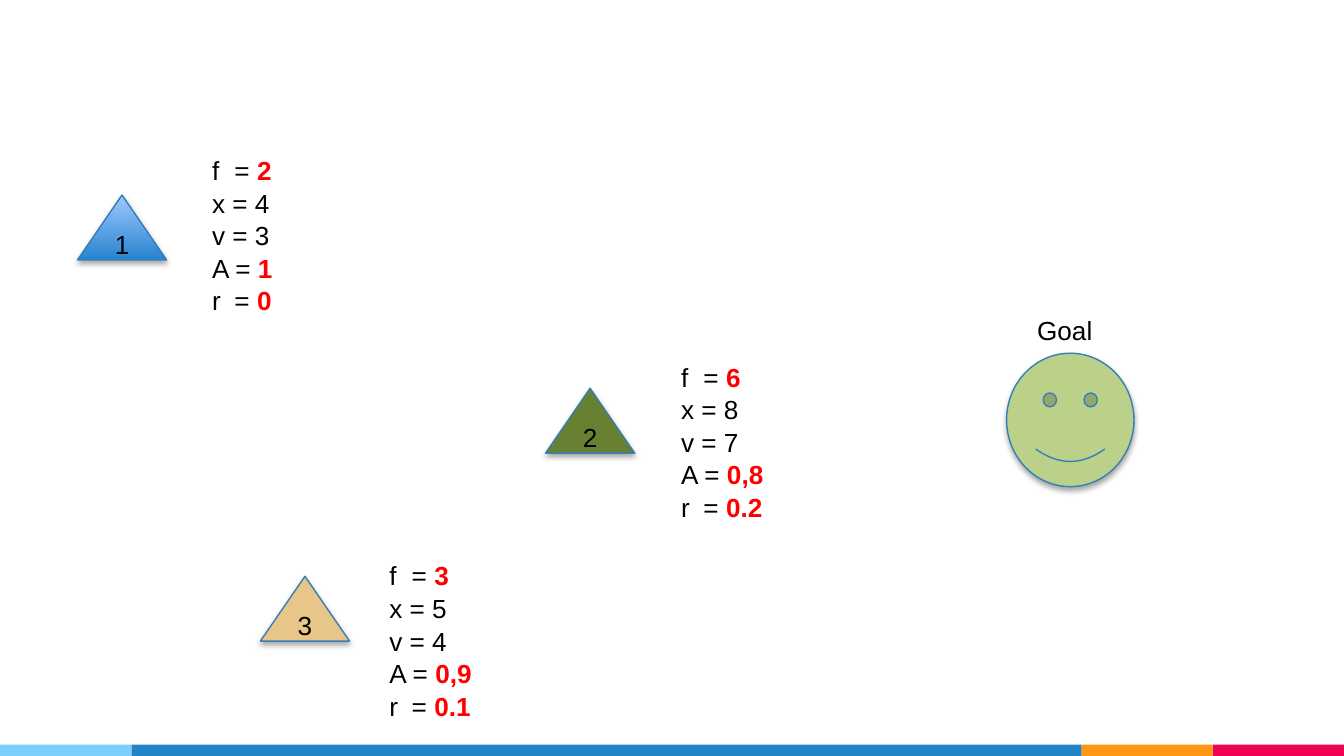
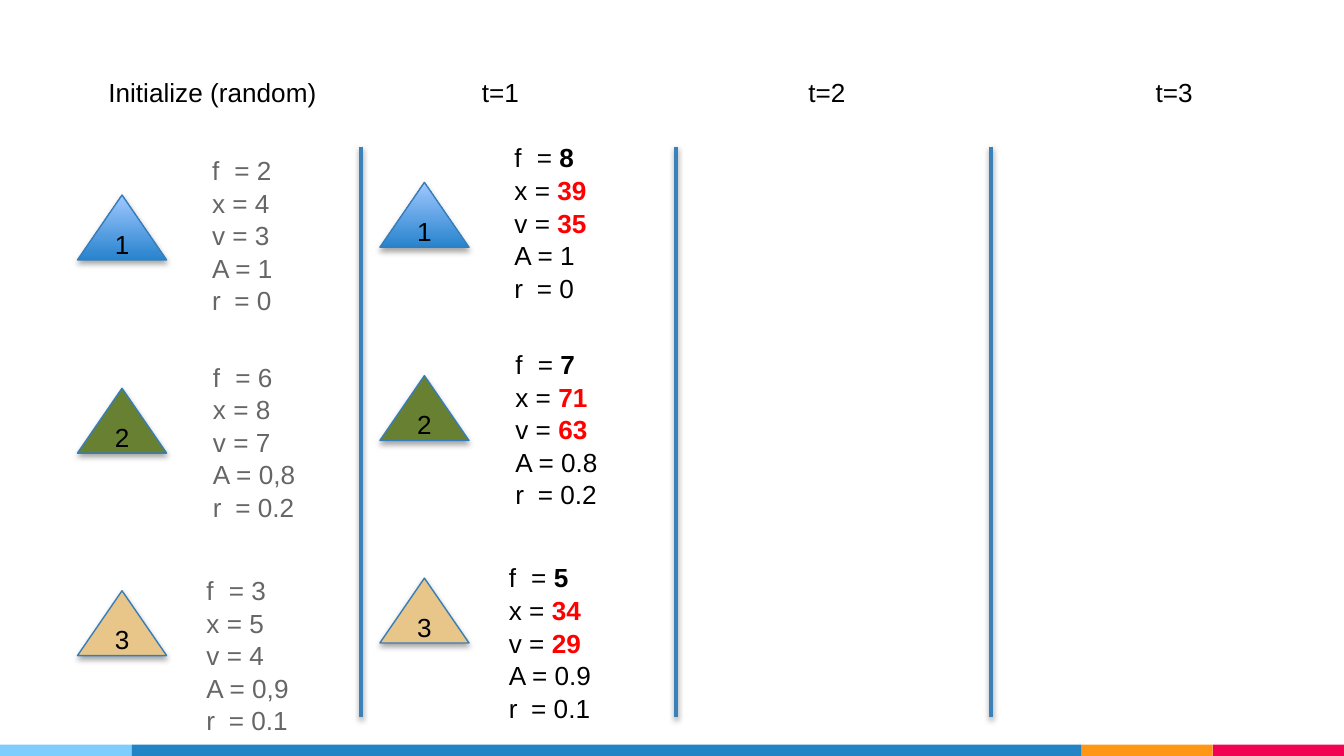
from lxml import etree
from pptx import Presentation
from pptx.dml.color import RGBColor
from pptx.enum import shapes, text
from pptx.oxml import ns
from pptx.util import Pt

COLORS = {
    "ink": "000000", "grey": "666666", "hot": "FF0000",
    "outline": "367EB9", "divider": "3A81BA", "goal": "BBD189",
    "sky": "7ECEFD", "blue": "2185C5", "orange": "FF9715", "pink": "F20253",
    "agent_dark": "2783CD", "agent_light": "A0C8FF",
    "olive": "688031", "sand": "E8C588",
}
# Footer bands: colour and width, left to right
BANDS = [("sky", 70.5), ("blue", 509), ("orange", 70.25), ("pink", 70.25)]
# Agents: fill colours, then offset and width of the variable list
AGENTS = {
    "1": (("agent_dark", "agent_light"), 65, -26, 65.5),
    "2": (("olive",), 65.5, -18.75, 65.5),
    "3": (("sand",), 62, -13, 68.5),
}
NAMES = "fxvAr"
TABBED = "fr"  # narrow letters, followed by a tab stop
START = {"1": "2 4 3 1 0", "2": "6 8 7 0,8 0.2", "3": "3 5 4 0,9 0.1"}
STEP_1 = {"1": "8 39 35 1 0", "2": "7 71 63 0.8 0.2", "3": "5 34 29 0.9 0.1"}


def rgb(name):
    return RGBColor.from_string(COLORS[name])


def write(p, content, size=14, color="ink", bold=False, font="Arial"):
    r = p.add_run()
    r.text = content
    r.font.size, r.font.name, r.font.bold = Pt(size), font, bold
    r.font.color.rgb = rgb(color)


class Deck:
    def __init__(self):
        self.prs = Presentation()
        self.prs.slide_width, self.prs.slide_height = Pt(720), Pt(405)

    def new_slide(self):
        self.s = self.prs.slides.add_slide(self.prs.slide_layouts[6])
        x = 0
        for color, w in BANDS:
            self.shape(shapes.MSO_SHAPE.RECTANGLE, x, 399, w, 6, [color])
            x += w

    def shadow(self, sp, alpha, dist):
        effects = etree.SubElement(sp._element.spPr, ns.qn("a:effectLst"))
        outer = etree.SubElement(effects, ns.qn("a:outerShdw"), blurRad=str(Pt(3.1)),
                                 dist=str(Pt(dist)), dir="5400000", rotWithShape="0")
        clr = etree.SubElement(outer, ns.qn("a:srgbClr"), val=COLORS["ink"])
        etree.SubElement(clr, ns.qn("a:alpha"), val=str(alpha * 1000))

    def shape(self, kind, x, y, w, h, fills, outlined=False):
        sp = self.s.shapes.add_shape(kind, Pt(x), Pt(y), Pt(w), Pt(h))
        if len(fills) > 1:
            sp.fill.gradient()
            sp.fill.gradient_angle = 90
            for stop, color in zip(sp.fill.gradient_stops, fills):
                stop.color.rgb = rgb(color)
        else:
            sp.fill.solid()
            sp.fill.fore_color.rgb = rgb(fills[0])
        if outlined:
            sp.line.color.rgb = rgb("outline")
            sp.line.width = Pt(0.75)
            self.shadow(sp, 35, 1.8)
        else:
            sp.line.fill.background()
            sp.shadow.inherit = False
        return sp

    def divider(self, x):
        c = self.s.shapes.add_connector(shapes.MSO_CONNECTOR.STRAIGHT,
                                        Pt(x), Pt(78.5), Pt(x), Pt(384))
        c.line.color.rgb = rgb("divider")
        c.line.width = Pt(2)
        self.shadow(c, 38, 1.6)

    def box(self, x, y, w, h, wrap):
        tf = self.s.shapes.add_textbox(Pt(x), Pt(y), Pt(w), Pt(h)).text_frame
        tf.word_wrap = wrap
        tf.auto_size = text.MSO_AUTO_SIZE.SHAPE_TO_FIT_TEXT
        return tf

    def label(self, content, x, y, w):
        write(self.box(x, y, w, 24.5, False).paragraphs[0], content)

    def variables(self, x, y, w, values, color, hot, bold):
        tf = self.box(x, y, w, 92, True)
        for i, (name, value) in enumerate(zip(NAMES, values.split())):
            p = tf.add_paragraph() if i else tf.paragraphs[0]
            p.line_spacing = 1.04
            if name in TABBED:
                tabs = etree.SubElement(p._p.get_or_add_pPr(), ns.qn("a:tabLst"))
                etree.SubElement(tabs, ns.qn("a:tab"), pos=str(Pt(12)), algn="l")
            gap = "\t" if name in TABBED else " "
            write(p, f"{name}{gap}= ", color=color)
            write(p, value, color="hot" if name in hot else color,
                  bold=name in hot + bold)

    def agent(self, number, x, y, values, color="ink", hot="", bold=""):
        fills, dx, dy, w = AGENTS[number]
        sp = self.shape(shapes.MSO_SHAPE.ISOSCELES_TRIANGLE, x, y, 47.75, 34.75,
                        fills, outlined=True)
        tf = sp.text_frame
        tf.vertical_anchor = text.MSO_ANCHOR.MIDDLE
        p = tf.paragraphs[0]
        p.alignment = text.PP_ALIGN.CENTER
        write(p, number)
        self.variables(x + dx, y + dy, w, values, color, hot, bold)


def main():
    deck = Deck()

    # Slide 1: starting agents and their goal
    deck.new_slide()
    for number, x, y in [("1", 41.5, 104.5), ("2", 292.25, 208), ("3", 139.5, 308.75)]:
        deck.agent(number, x, y, START[number], hot="fAr")
    deck.shape(shapes.MSO_SHAPE.SMILEY_FACE, 539.25, 189.25, 68.25, 71.5,
               ["goal"], outlined=True)
    deck.label("Goal", 548.5, 165, 45)

    # Slide 2: one column per time step
    deck.new_slide()
    for content, x, w in [("Initialize (random)", 51, 127), ("t=1", 251, 34.5),
                          ("t=2", 426, 34.5), ("t=3", 612, 34.5)]:
        deck.label(content, x, 37.5, w)
    for i in range(3):
        deck.divider(193.5 + i * 168.75)
    for number, y in [("1", 104.5), ("2", 208), ("3", 316.5)]:
        deck.agent(number, 41.5, y, START[number], color="grey")
        deck.agent(number, 203.5, y - 6.75, STEP_1[number], hot="xv", bold="f")

    deck.prs.save("out.pptx")


if __name__ == "__main__":
    main()
